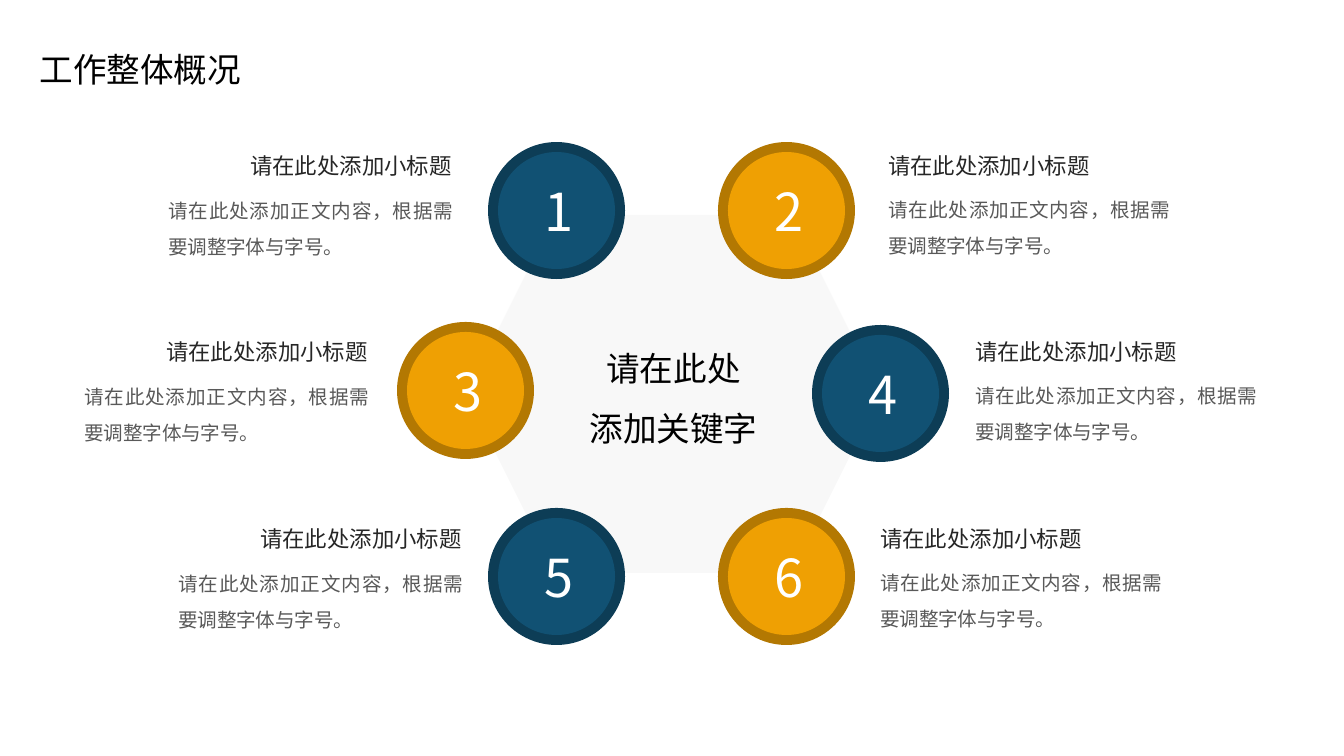
from dataclasses import dataclass
from typing import Any

from lxml.etree import SubElement
from pptx import Presentation
from pptx.dml.color import RGBColor
from pptx.enum.shapes import MSO_SHAPE as Preset
from pptx.enum.text import MSO_ANCHOR as Anchor, MSO_AUTO_SIZE as AutoSize, PP_ALIGN as Align
from pptx.oxml import parse_xml
from pptx.oxml.ns import nsdecls, qn
from pptx.util import Emu, Pt

SCALE = 914400 / 134.4


@dataclass(frozen=True)
class TextStyle:
    size: float
    color: str
    align: Align
    spacing: float = 1.0
    wrap: bool = True


@dataclass(frozen=True)
class Palette:
    rim: str
    face: str


@dataclass(frozen=True)
class Theme:
    font: str = "Noto Sans CJK SC"
    hexagon: str = "F2F2F2"
    blue: Palette = Palette("0D3D56", "115173")
    amber: Palette = Palette("B37802", "EFA003")
    title: TextStyle = TextStyle(18, "000000", Align.LEFT, wrap=False)
    keyword: TextStyle = TextStyle(18, "000000", Align.CENTER, 1.5)
    number: TextStyle = TextStyle(28, "FFFFFF", Align.CENTER, wrap=False)
    heading_left: TextStyle = TextStyle(12, "262626", Align.RIGHT)
    heading_right: TextStyle = TextStyle(12, "262626", Align.LEFT)
    body: TextStyle = TextStyle(10.5, "595959", Align.JUSTIFY, 1.5)


@dataclass(frozen=True)
class Side:
    heading_style: TextStyle
    heading_width: int
    body_width: int
    body_drop: int


@dataclass(frozen=True)
class Item:
    number: int
    palette: Palette
    badge: tuple[int, int]
    side: Side
    caption: tuple[int, int]


THEME = Theme()
LEFT = Side(THEME.heading_left, 310, 312, 35)
RIGHT = Side(THEME.heading_right, 309, 309, 34)
ITEMS = [
    Item(1, THEME.blue, (488, 142), LEFT, (155, 146)),
    Item(2, THEME.amber, (718, 142), RIGHT, (875, 146)),
    Item(3, THEME.amber, (397, 322), LEFT, (71, 332)),
    Item(4, THEME.blue, (812, 325), RIGHT, (962, 332)),
    Item(5, THEME.blue, (488, 508), LEFT, (165, 519)),
    Item(6, THEME.amber, (718, 508), RIGHT, (867, 519)),
]
HEADING = "请在此处添加小标题"
BODY = "请在此处添加正文内容，根据需要调整字体与字号。"
BADGE_SIZE, RIM_WIDTH = 137, 10


def px(length: float) -> Emu:
    return Emu(round(length * SCALE))


def apply(target: Any, values: dict[str, Any]) -> None:
    for name, value in values.items():
        setattr(target, name, value)


def write(frame: Any, lines: list[str], style: TextStyle) -> None:
    frame.text = "\n".join(lines)
    apply(frame, {"word_wrap": style.wrap, "auto_size": AutoSize.SHAPE_TO_FIT_TEXT,
                  "vertical_anchor": Anchor.TOP})
    for paragraph in frame.paragraphs:
        apply(paragraph, {"alignment": style.align, "line_spacing": style.spacing})
        for run in paragraph.runs:
            apply(run.font, {"size": Pt(style.size), "name": THEME.font})
            run.font.color.rgb = RGBColor.from_string(style.color)
            latin = run.font._element.find(qn("a:latin"))
            latin.addnext(parse_xml(f'<a:ea {nsdecls("a")} typeface="{THEME.font}"/>'))


def add_text(parent: Any, box: tuple[int, int, int, int], lines: list[str], style: TextStyle) -> None:
    write(parent.add_textbox(*map(px, box)).text_frame, lines, style)


def add_filled(parent: Any, preset: Preset, box: tuple[int, int, int, int], color: str) -> Any:
    figure = parent.add_shape(preset, *map(px, box))
    figure.shadow.inherit = False
    figure.fill.solid()
    figure.fill.fore_color.rgb = RGBColor.from_string(color)
    figure.line.fill.background()
    return figure


def add_badge(parent: Any, item: Item) -> None:
    x, y = item.badge
    for inset, color in ((0, item.palette.rim), (RIM_WIDTH, item.palette.face)):
        diameter = BADGE_SIZE - 2 * inset
        add_filled(parent, Preset.OVAL, (x + inset, y + inset, diameter, diameter), color)
    add_text(parent, (x + 42, y + 31, 58, 77), [str(item.number)], THEME.number)


def add_caption(parent: Any, item: Item) -> None:
    (x, y), side = item.caption, item.side
    add_text(parent, (x, y, side.heading_width, 40), [HEADING], side.heading_style)
    add_text(parent, (x, y + side.body_drop, side.body_width, 85), [BODY], THEME.body)


deck = Presentation()
apply(deck, {"slide_width": px(1344), "slide_height": px(756)})
slide = deck.slides.add_slide(deck.slide_layouts[5])

title = slide.shapes.title
apply(title, {"left": px(26), "top": px(42), "width": px(231), "height": px(54)})
write(title.text_frame, ["工作整体概况"], THEME.title)

diagram = slide.shapes.add_group_shape().shapes
hexagon = add_filled(diagram, Preset.HEXAGON, (466, 215, 415, 358), THEME.hexagon)
hexagon_color = hexagon._element.spPr.find(qn("a:solidFill"))[0]
SubElement(hexagon_color, qn("a:alpha")).set("val", "50000")
for item in ITEMS:
    add_badge(diagram, item)
add_text(diagram, (568, 321, 211, 136), ["请在此处", "添加关键字"], THEME.keyword)

for item in ITEMS:
    add_caption(slide.shapes.add_group_shape().shapes, item)

deck.save("out.pptx")
